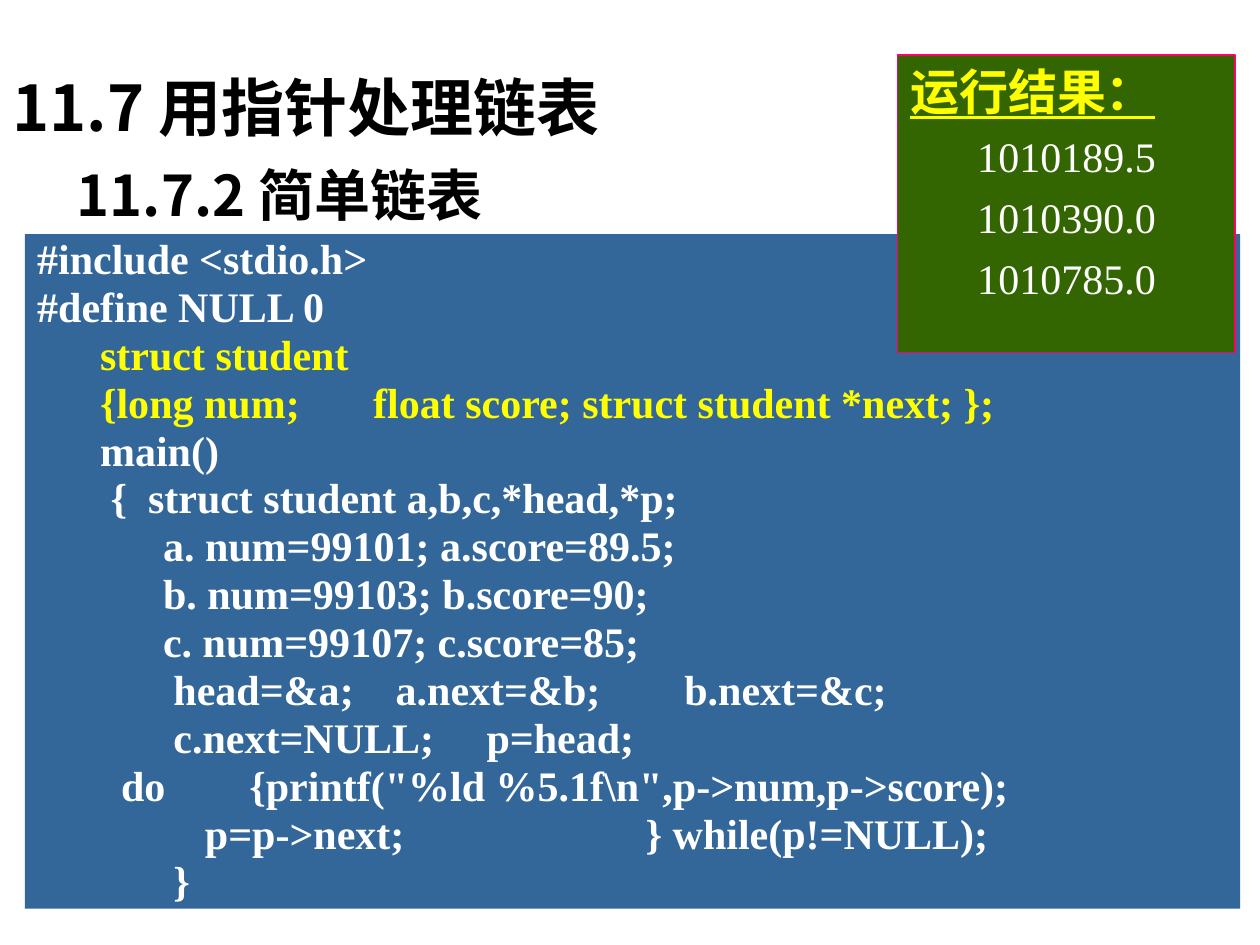
from pptx import Presentation
from pptx.dml.color import RGBColor
from pptx.enum.shapes import MSO_SHAPE as Shape
from pptx.enum.text import MSO_ANCHOR as Anchor, PP_ALIGN as Align
from pptx.oxml.ns import qn
from pptx.util import Cm, Pt

BLACK = RGBColor(0x00, 0x00, 0x00)
WHITE = RGBColor(0xFF, 0xFF, 0xFF)
YELLOW = RGBColor(0xFF, 0xFF, 0x00)
BLUE = RGBColor(0x33, 0x66, 0x99)
GREEN = RGBColor(0x33, 0x66, 0x00)
PINK = RGBColor(0xFF, 0x00, 0x66)

SANS = "Noto Sans CJK SC"
SERIF = "Times New Roman"

# Program listing: lines with the colour of each group
CODE = [
    (WHITE, """#include <stdio.h>
#define NULL 0"""),
    (YELLOW, """      struct student
      {long num;       float score; struct student *next; };"""),
    (WHITE, """      main()
       {  struct student a,b,c,*head,*p;
            a. num=99101; a.score=89.5;
            b. num=99103; b.score=90;
            c. num=99107; c.score=85;
             head=&a;    a.next=&b;        b.next=&c;
             c.next=NULL;     p=head;
        do        {printf("%ld %5.1f\\n",p->num,p->score);
                p=p->next;                       } while(p!=NULL);
             }"""),
]
RESULTS = ["1010189.5", "1010390.0", "1010785.0"]


def add_span(para, text, size=24, font=SERIF, color=WHITE, bold=False, underline=False):
    span = para.add_run()
    span.text = text
    span.font.size = Pt(size)
    span.font.name = font
    span.font.color.rgb = color
    span.font.bold = bold
    span.font.underline = underline
    east_asian = span.font._element.makeelement(qn("a:ea"), {"typeface": font})
    span.font._element.find(qn("a:latin")).addnext(east_asian)


def add_heading(page, text, left, top, width, height, size, anchor):
    box = page.shapes.add_textbox(Cm(left), Cm(top), Cm(width), Cm(height))
    box.text_frame.word_wrap = True
    box.text_frame.vertical_anchor = anchor
    add_span(box.text_frame.paragraphs[0], text, size=size, font=SANS, color=BLACK, bold=True)


def add_panel(page, left, top, width, height, fill, anchor, line=None):
    panel = page.shapes.add_shape(Shape.RECTANGLE, Cm(left), Cm(top), Cm(width), Cm(height))
    panel.shadow.inherit = False
    panel.fill.solid()
    panel.fill.fore_color.rgb = fill
    if line is None:
        panel.line.fill.background()
    else:
        panel.line.color.rgb = line
        panel.line.width = Pt(0.75)
    frame = panel.text_frame
    frame.word_wrap = True
    frame.vertical_anchor = anchor
    frame.paragraphs[0].alignment = Align.LEFT
    return frame


def add_code(page):
    frame = add_panel(page, 0.5, 4.72, 24.5, 13.6, BLUE, Anchor.MIDDLE)
    para = frame.paragraphs[0]
    para.line_spacing = 0.95
    lines = [(color, line) for color, group in CODE for line in group.splitlines()]
    for number, (color, line) in enumerate(lines):
        if number:
            para.add_line_break()
        add_span(para, line, color=color, bold=True)


def add_results(page):
    frame = add_panel(page, 18.1, 1.11, 6.8, 6, GREEN, Anchor.TOP, line=PINK)
    add_span(frame.paragraphs[0], "运行结果：", size=28, font=SANS,
             color=YELLOW, bold=True, underline=True)
    for value in RESULTS:
        para = frame.add_paragraph()
        para.alignment = Align.CENTER
        para.space_before = Pt(6)
        add_span(para, value)


def main():
    deck = Presentation()
    deck.slide_width, deck.slide_height = Cm(25.4), Cm(19.05)
    page = deck.slides.add_slide(deck.slide_layouts[6])

    # Headings
    add_heading(page, "11.7 用指针处理链表", 0, 1.11, 25.4, 2.06, 36, Anchor.MIDDLE)
    add_heading(page, "11.7.2 简单链表", 1.3, 3.12, 22.6, 12.8, 32, Anchor.TOP)

    # Program and its output
    add_code(page)
    add_results(page)

    deck.save("out.pptx")


if __name__ == "__main__":
    main()
